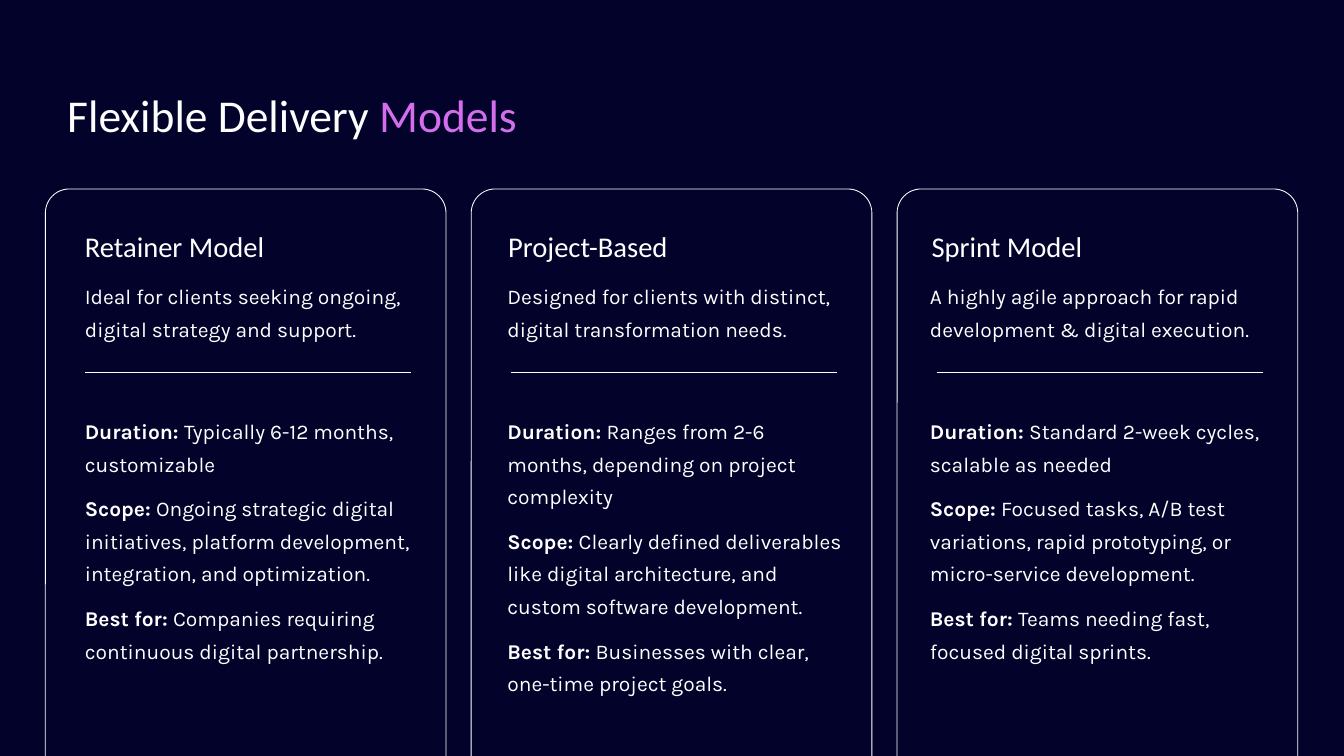
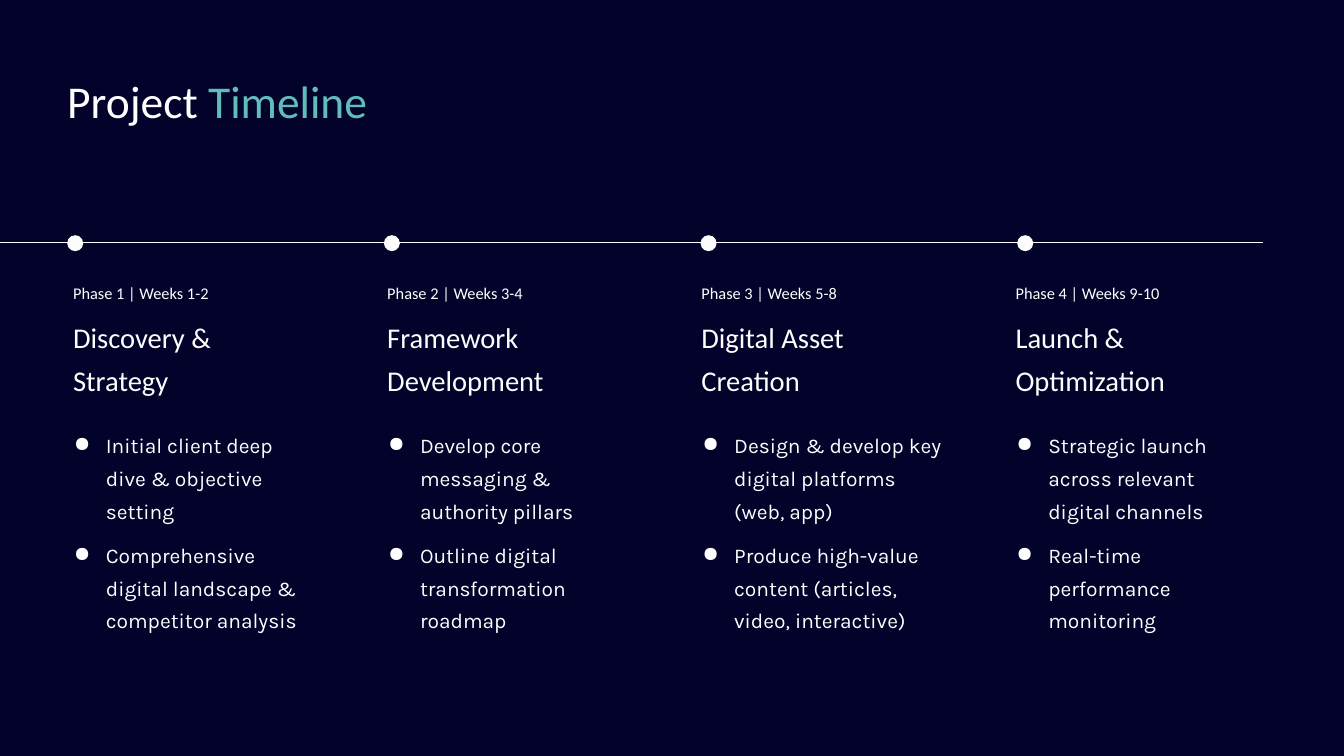
"""Build two slides: the delivery models and the project timeline."""
from dataclasses import dataclass
from typing import NamedTuple

from lxml.etree import SubElement
from pptx import Presentation
from pptx.dml.color import RGBColor
from pptx.enum.shapes import MSO_CONNECTOR, MSO_SHAPE
from pptx.enum.text import MSO_ANCHOR, MSO_AUTO_SIZE, PP_ALIGN
from pptx.oxml.ns import qn
from pptx.presentation import Presentation as Deck
from pptx.slide import Slide
from pptx.text.text import TextFrame, _Paragraph
from pptx.util import Inches, Pt

COLORS = {
    "navy": "02022B",
    "white": "FFFFFF",
    "soft_white": "FEFEFE",
    "dot": "FCFCFC",
    "pink": "D56EED",
    "teal": "61BDBA",
}
SLIDE_WIDTH, SLIDE_HEIGHT = 16, 9
TITLE_LEFT = 0.8
LINE_END = 15.04


@dataclass(frozen=True)
class Grid:
    """Equal columns, in inches."""

    left: float
    step: float
    width: float

    def column(self, index: int) -> float:
        return self.left + index * self.step


class Style(NamedTuple):
    """Type style of a text."""

    font: str
    size: float
    color: str
    spacing: float
    before: float = 0


class Model(NamedTuple):
    """Delivery model shown on a card."""

    name: str
    summary: str
    duration: str
    scope: str
    best_for: str


class Phase(NamedTuple):
    """Phase of the timeline."""

    weeks: str
    name: str
    tasks: tuple[str, ...]


CARDS = Grid(0.54, 5.07, 4.77)
CARD_HEADINGS = Grid(1.01, 5.04, 4.05)
CARD_TEXTS = Grid(1.01, 5.03, 4.05)
CARD_RULES = Grid(1.01, 5.07, 3.88)
PHASE_HEADINGS = Grid(0.87, 3.74, 3.01)
PHASE_TASKS = Grid(0.76, 3.74, 3.01)
PHASE_DOTS = Grid(0.8, 3.77, 0.19)

TITLE = Style("Calibri", 39, "soft_white", 1.25)
CARD_HEADING = Style("Calibri", 24.5, "white", 1.26)
SUMMARY = Style("Karla", 18, "white", 1.3)
DETAIL = Style("Karla", 18, "white", 1.3, 10)
WEEKS = Style("Calibri", 14, "soft_white", 1.26)
PHASE_HEADING = Style("Calibri", 24.5, "soft_white", 1.23)
TASK = Style("Karla", 18, "soft_white", 1.3, 10)

MODELS = (
    Model("Retainer Model",
          "Ideal for clients seeking ongoing, digital strategy and support.",
          "Typically 6-12 months, customizable",
          "Ongoing strategic digital initiatives, platform development, "
          "integration, and optimization.",
          "Companies requiring continuous digital partnership."),
    Model("Project-Based",
          "Designed for clients with distinct, digital transformation needs.",
          "Ranges from 2-6 months, depending on project complexity",
          "Clearly defined deliverables like digital architecture, and "
          "custom software development.",
          "Businesses with clear, one-time project goals."),
    Model("Sprint Model",
          "A highly agile approach for rapid development & digital execution.",
          "Standard 2-week cycles, scalable as needed",
          "Focused tasks, A/B test variations, rapid prototyping, or "
          "micro-service development.",
          "Teams needing fast, focused digital sprints."),
)
PHASES = (
    Phase("Phase 1 | Weeks 1-2", "Discovery &\nStrategy",
          ("Initial client deep dive & objective setting",
           "Comprehensive digital landscape & competitor analysis")),
    Phase("Phase 2 | Weeks 3-4", "Framework Development",
          ("Develop core messaging & authority pillars",
           "Outline digital transformation roadmap")),
    Phase("Phase 3 | Weeks 5-8", "Digital Asset\nCreation",
          ("Design & develop key digital platforms (web, app)",
           "Produce high-value content (articles, video, interactive)")),
    Phase("Phase 4 | Weeks 9-10", "Launch &\nOptimization",
          ("Strategic launch across relevant digital channels",
           "Real-time performance monitoring")),
)


def rgb(name: str) -> RGBColor:
    """Look up a colour of the palette."""
    return RGBColor.from_string(COLORS[name])


def prepare_frame(frame: TextFrame) -> None:
    """Remove the insets and let the text wrap from the top."""
    frame.margin_left = frame.margin_top = 0
    frame.margin_right = frame.margin_bottom = 0
    frame.word_wrap = True
    frame.auto_size = MSO_AUTO_SIZE.NONE
    frame.vertical_anchor = MSO_ANCHOR.TOP


def add_run(paragraph: _Paragraph, words: str, style: Style, bold: bool = False) -> None:
    """Append one run, with a line break at each newline."""
    for number, line in enumerate(words.split("\n")):
        if number:
            paragraph.add_line_break()
        run = paragraph.add_run()
        run.text = line
        run.font.name = style.font
        run.font.size = Pt(style.size)
        run.font.bold = bold
        run.font.color.rgb = rgb(style.color)


def space_paragraph(paragraph: _Paragraph, style: Style) -> None:
    """Set alignment and spacing."""
    paragraph.alignment = PP_ALIGN.LEFT
    paragraph.line_spacing = style.spacing
    paragraph.space_before = Pt(style.before)


def add_bullet(paragraph: _Paragraph, color: str) -> None:
    """Give a paragraph a round bullet and a hanging indent."""
    properties = paragraph._p.get_or_add_pPr()
    properties.set("marL", str(Inches(0.5)))
    properties.set("indent", str(Inches(-0.38)))
    bullet_color = SubElement(properties, qn("a:buClr"))
    SubElement(bullet_color, qn("a:srgbClr"), val=COLORS[color])
    SubElement(properties, qn("a:buChar"), char="●")


def add_text(slide: Slide, left: float, top: float, width: float, height: float,
             paragraphs: list[tuple[str, str]], style: Style, bulleted: bool = False) -> None:
    """Add a text box whose paragraphs are a bold label and plain words."""
    box = slide.shapes.add_textbox(*map(Inches, (left, top, width, height)))
    frame = box.text_frame
    prepare_frame(frame)
    for number, (label, words) in enumerate(paragraphs):
        paragraph = frame.add_paragraph() if number else frame.paragraphs[0]
        space_paragraph(paragraph, style)
        if bulleted:
            add_bullet(paragraph, style.color)
        if label:
            add_run(paragraph, label, style, bold=True)
        add_run(paragraph, words, style)


def add_rule(slide: Slide, start: float, end: float, top: float, color: str) -> None:
    """Draw a thin horizontal line."""
    rule = slide.shapes.add_connector(
        MSO_CONNECTOR.STRAIGHT, *map(Inches, (start, top, end, top)))
    rule.line.color.rgb = rgb(color)
    rule.line.width = Pt(0.75)
    SubElement(rule._element.spPr, qn("a:effectLst"))


def add_titled_slide(deck: Deck, plain: str, accent: str, color: str, top: float) -> Slide:
    """Add a slide whose title ends in an accent colour."""
    slide = deck.slides.add_slide(deck.slide_layouts.get_by_name("Title Only"))
    title = slide.shapes.title
    title.left, title.top = Inches(TITLE_LEFT), Inches(top)
    title.width, title.height = Inches(SLIDE_WIDTH - 2 * TITLE_LEFT), Inches(0.62)
    prepare_frame(title.text_frame)
    paragraph = title.text_frame.paragraphs[0]
    space_paragraph(paragraph, TITLE)
    add_run(paragraph, plain, TITLE)
    add_run(paragraph, accent, TITLE._replace(color=color))
    return slide


def add_card(slide: Slide, index: int, model: Model) -> None:
    """Draw the card of one delivery model."""
    card = slide.shapes.add_shape(
        MSO_SHAPE.ROUNDED_RECTANGLE,
        *map(Inches, (CARDS.column(index), SLIDE_HEIGHT / 4, CARDS.width, 7.76)))
    card.adjustments[0] = 0.06
    card.shadow.inherit = False
    card.fill.background()
    card.line.color.rgb = rgb("white")
    card.line.width = Pt(0.75)

    text_left, rule_left = CARD_TEXTS.column(index), CARD_RULES.column(index)
    add_text(slide, CARD_HEADINGS.column(index), 2.62, CARD_HEADINGS.width, 0.31,
             [("", model.name)], CARD_HEADING)
    add_text(slide, text_left, 3.29, CARD_TEXTS.width, 0.84, [("", model.summary)], SUMMARY)
    add_rule(slide, rule_left, rule_left + CARD_RULES.width, 4.43, "white")
    details = [("Duration: ", model.duration), ("Scope: ", model.scope),
               ("Best for: ", model.best_for)]
    add_text(slide, text_left, 4.89, CARD_TEXTS.width, 2.72, details, DETAIL)


def add_phase(slide: Slide, index: int, phase: Phase) -> None:
    """Draw the dot and the texts of one phase."""
    dot = slide.shapes.add_shape(
        MSO_SHAPE.OVAL,
        *map(Inches, (PHASE_DOTS.column(index), 2.8, PHASE_DOTS.width, PHASE_DOTS.width)))
    dot.shadow.inherit = False
    dot.fill.solid()
    dot.fill.fore_color.rgb = rgb("dot")
    dot.line.fill.background()

    left, width = PHASE_HEADINGS.column(index), PHASE_HEADINGS.width
    add_text(slide, left, 3.31, width, 0.27, [("", phase.weeks)], WEEKS)
    add_text(slide, left, 3.72, width, 0.51, [("", phase.name)], PHASE_HEADING)
    add_text(slide, PHASE_TASKS.column(index), 5.06, PHASE_TASKS.width, 2.42,
             [("", task) for task in phase.tasks], TASK, bulleted=True)


def main() -> None:
    """Build and save the deck."""
    deck = Presentation()
    deck.slide_width, deck.slide_height = Inches(SLIDE_WIDTH), Inches(SLIDE_HEIGHT)
    backdrop = deck.slide_master.background.fill
    backdrop.solid()
    backdrop.fore_color.rgb = rgb("navy")

    delivery = add_titled_slide(deck, "Flexible Delivery ", "Models", "pink", 0.87)
    for index, model in enumerate(MODELS):
        add_card(delivery, index, model)

    timeline = add_titled_slide(deck, "Project ", "Timeline", "teal", 0.71)
    add_rule(timeline, 0, LINE_END, 2.89, "dot")
    for index, phase in enumerate(PHASES):
        add_phase(timeline, index, phase)

    deck.save("out.pptx")


if __name__ == "__main__":
    main()
